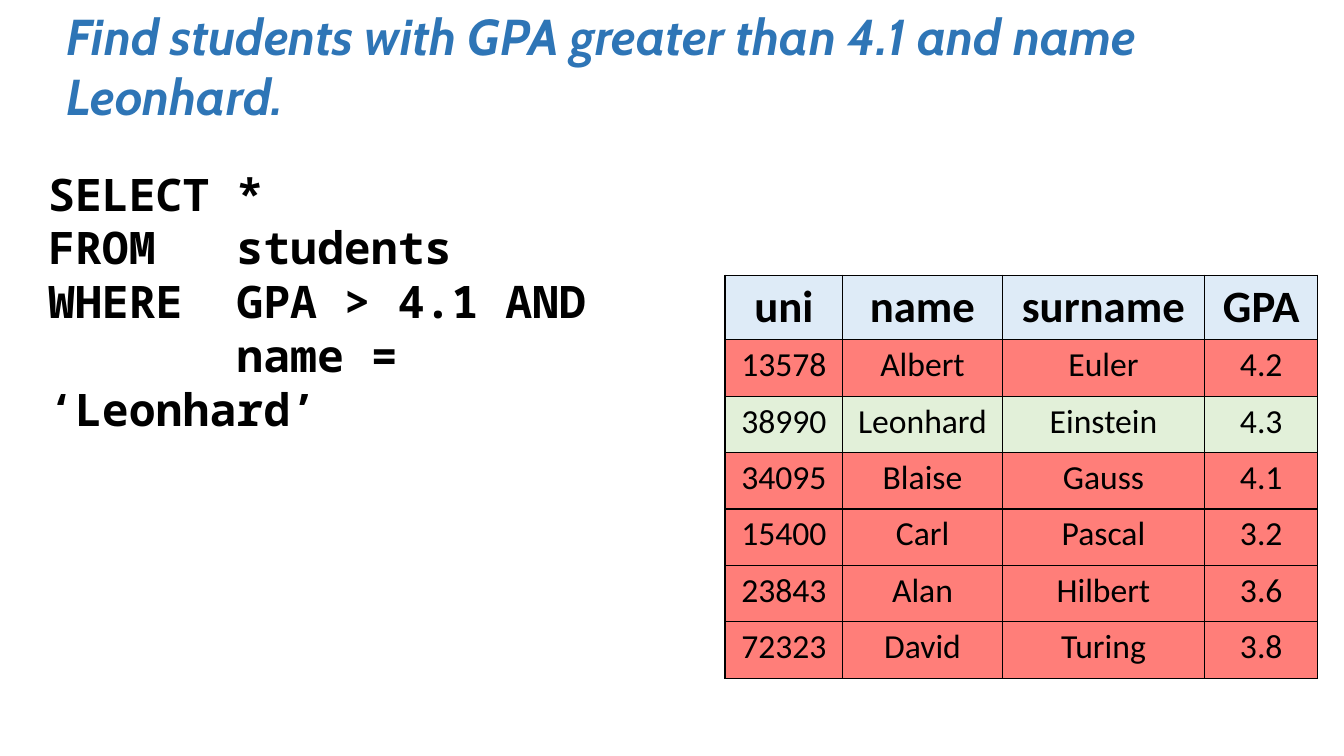
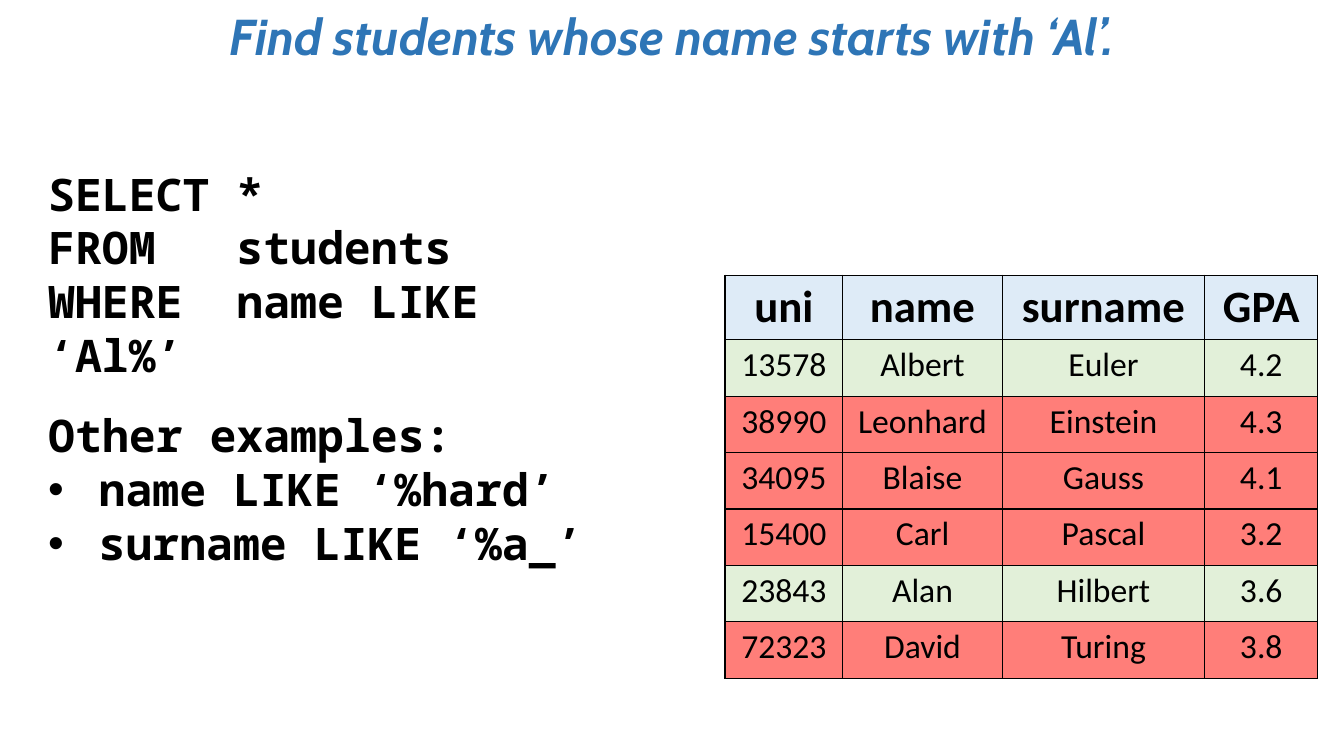
"""Build two slides that show SQL filters on a table of students."""
import dataclasses

import lxml.etree
import pptx
import pptx.dml.color
import pptx.enum.text
import pptx.oxml
import pptx.oxml.ns
import pptx.util

Inches = pptx.util.Inches
Pt = pptx.util.Pt
ALIGN = pptx.enum.text.PP_ALIGN


@dataclasses.dataclass(frozen=True)
class Theme:
    title: str = "2E75B6"
    ink: str = "000000"
    head: str = "DEEBF7"
    hit: str = "E2F0D9"
    miss: str = "FF7E79"
    title_font: str = "Cabin"
    code_font: str = "Noto Sans Mono"
    table_font: str = "Calibri"
    title_size: int = 36
    code_size: int = 32
    head_size: int = 32
    cell_size: int = 24
    rule: int = 1


HEAD = ("uni", "name", "surname", "GPA")
ROWS = (
    ("13578", "Albert", "Euler", "4.2"),
    ("38990", "Leonhard", "Einstein", "4.3"),
    ("34095", "Blaise", "Gauss", "4.1"),
    ("15400", "Carl", "Pascal", "3.2"),
    ("23843", "Alan", "Hilbert", "3.6"),
    ("72323", "David", "Turing", "3.8"),
)
COLS = (1.17, 1.58, 2.01, 1.12)
HEAD_HIGH, ROW_HIGH = 0.64, 0.56
LEFT = 0.38


class Deck:
    def __init__(self, theme):
        self.theme = theme
        self.show = pptx.Presentation()
        self.show.slide_width = Inches(13.33)
        self.show.slide_height = Inches(7.5)
        self.slide = None

    def page(self):
        self.slide = self.show.slides.add_slide(self.show.slide_layouts[6])

    def style(self, para, font, size, color, bold=False, slant=False):
        for run in para.runs:
            run.font.name = font
            run.font.size = Pt(size)
            run.font.bold = bold
            run.font.italic = slant
            run.font.color.rgb = pptx.dml.color.RGBColor.from_string(color)

    def box(self, text, left, top, width, height):
        frame = self.slide.shapes.add_textbox(
            Inches(left), Inches(top), Inches(width), Inches(height)
        ).text_frame
        frame.word_wrap = True
        frame.text = text
        return frame.paragraphs

    def title(self, text, left, width, height, align=ALIGN.LEFT):
        look = self.theme
        for para in self.box(text, left, 0, width, height):
            para.alignment = align
            self.style(para, look.title_font, look.title_size, look.title, True, True)

    def code(self, lines, top, width, height, dots=()):
        look = self.theme
        paras = self.box("\n".join((*lines, *dots)), LEFT, top, width, height)
        for spot, para in enumerate(paras):
            if spot >= len(lines):
                self.dot(para)
            self.style(para, look.code_font, look.code_size, look.ink, True)

    def dot(self, para):
        props = para._p.get_or_add_pPr()
        props.set("marL", str(Inches(0.5)))
        props.set("indent", str(-Inches(0.5)))
        name = pptx.oxml.ns.qn
        lxml.etree.SubElement(props, name("a:buFont")).set("typeface", "Arial")
        lxml.etree.SubElement(props, name("a:buChar")).set("char", "•")

    def edge(self, cell):
        props = cell._tc.get_or_add_tcPr()
        for side in "LRTB":
            props.append(pptx.oxml.parse_xml(
                f'<a:ln{side} {pptx.oxml.ns.nsdecls("a")} w="{Pt(self.theme.rule)}">'
                f'<a:solidFill><a:srgbClr val="{self.theme.ink}"/></a:solidFill>'
                f'</a:ln{side}>'
            ))

    def cell(self, cell, text, size, fill, bold):
        self.edge(cell)
        cell.fill.solid()
        cell.fill.fore_color.rgb = pptx.dml.color.RGBColor.from_string(fill)
        cell.text_frame.text = text
        para = cell.text_frame.paragraphs[0]
        para.alignment = ALIGN.CENTER
        self.style(para, self.theme.table_font, size, self.theme.ink, bold)

    def table(self, match):
        look = self.theme
        high = HEAD_HIGH + ROW_HIGH * len(ROWS)
        grid = self.slide.shapes.add_table(
            len(ROWS) + 1, len(COLS),
            Inches(7.19), Inches(2.73), Inches(sum(COLS)), Inches(high),
        ).table
        grid.first_row = grid.horz_banding = False
        for col, width in zip(grid.columns, COLS):
            col.width = Inches(width)
        for spot, values in enumerate((HEAD, *ROWS)):
            top = spot == 0
            grid.rows[spot].height = Inches(HEAD_HIGH if top else ROW_HIGH)
            size = look.head_size if top else look.cell_size
            fill = look.head if top else look.hit if match(*values) else look.miss
            for col, text in enumerate(values):
                self.cell(grid.cell(spot, col), text, size, fill, top)


def main():
    deck = Deck(Theme())
    query = ("SELECT *", "FROM   students")

    deck.page()
    deck.code(
        (*query, "WHERE  GPA > 4.1 AND", "       name = ‘Leonhard’"),
        1.6, 6.13, 2.26,
    )
    deck.title(
        "Find students with GPA greater than 4.1 and name Leonhard.",
        0.56, 12.14, 1.31,
    )
    deck.table(lambda uni, name, last, gpa: float(gpa) > 4.1 and name == "Leonhard")

    deck.page()
    deck.code((*query, "WHERE  name LIKE ‘Al%’"), 1.6, 5.64, 1.72)
    deck.title(
        "Find students whose name starts with ‘Al’.", 0, 13.33, 0.71, ALIGN.CENTER
    )
    deck.table(lambda uni, name, last, gpa: name.startswith("Al"))
    deck.code(
        ("Other examples:",), 4, 5.65, 1.72,
        ("name LIKE ‘%hard’", "surname LIKE ‘%a_’"),
    )

    deck.show.save("out.pptx")


if __name__ == "__main__":
    main()
